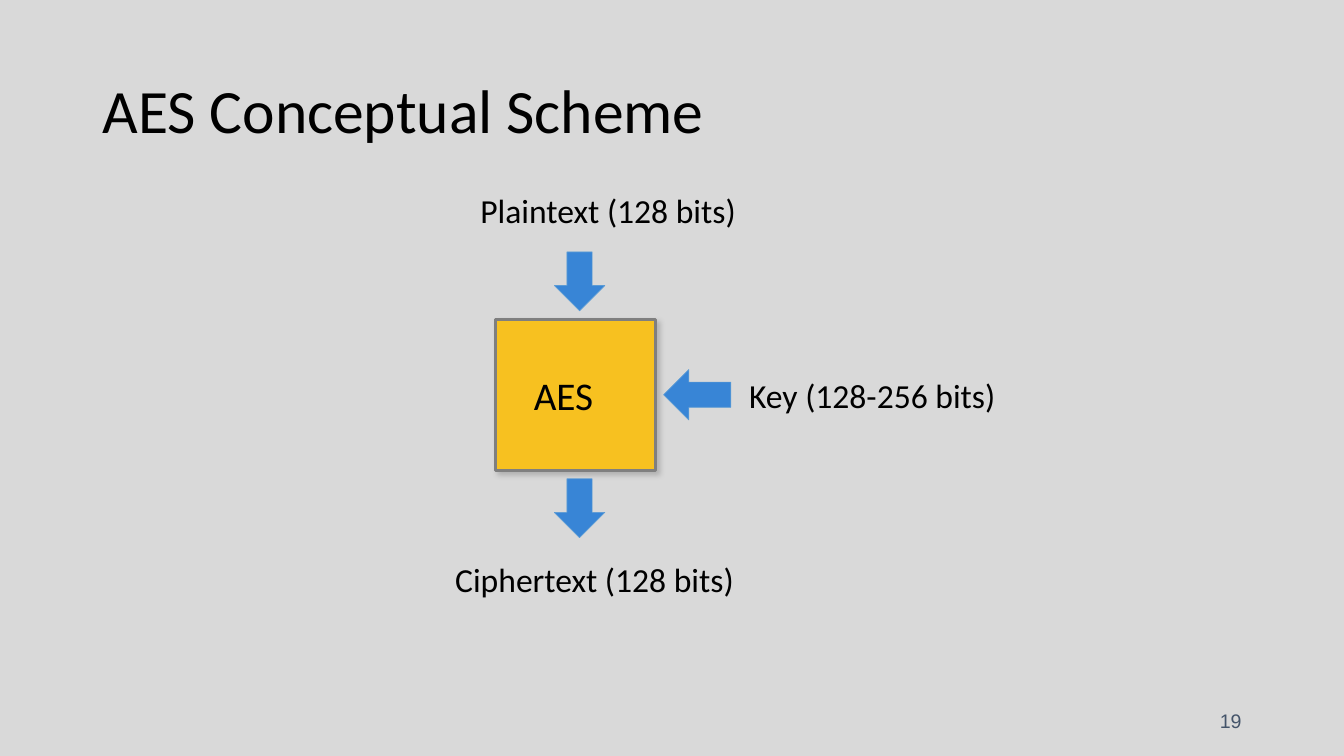
from dataclasses import dataclass

from lxml import etree
from pptx import Presentation
from pptx import util as u
from pptx.dml.color import RGBColor
from pptx.enum import shapes, text
from pptx.oxml import ns

COLS, ROWS = 160, 90
CELL = u.Inches(1) / 12
COLORS = {
    "background": "D9D9D9",
    "ink": "000000",
    "number": "44546A",
    "cipher": "F7C120",
    "cipher_line": "7F7F7F",
    "arrow": "3885D6",
    "arrow_line": "5B9BD5",
    "shadow": "808080",
}


@dataclass(frozen=True)
class Box:
    col: float
    row: float
    cols: float
    rows: float

    def emu(self) -> list[int]:
        return [round(n * CELL) for n in (self.col, self.row, self.cols, self.rows)]


@dataclass(frozen=True)
class Label:
    words: str
    box: Box


@dataclass(frozen=True)
class Arrow:
    kind: shapes.MSO_SHAPE
    box: Box


TITLE = Label("AES Conceptual Scheme", Box(11, 4.8, 138, 17.4))
NUMBER = Label("19", Box(113, 83.4, 36, 4.8))
CIPHER = Label("AES", Box(59, 38, 19, 18))
LABELS = [
    Label("Plaintext (128 bits)", Box(56, 22, 33.4, 6)),
    Label("Ciphertext (128 bits)", Box(53, 66, 38.3, 6)),
    Label("Key (128-256 bits)", Box(88, 44, 32.5, 6)),
]
ARROWS = [
    Arrow(shapes.MSO_SHAPE.DOWN_ARROW, Box(66, 30, 6, 7)),
    Arrow(shapes.MSO_SHAPE.DOWN_ARROW, Box(66, 57, 6, 7)),
    Arrow(shapes.MSO_SHAPE.LEFT_ARROW, Box(79, 44, 8, 6)),
]


def rgb(name: str) -> RGBColor:
    return RGBColor.from_string(COLORS[name])


def write(sp, words: str, size: int, color: str = "ink", font: str = "Calibri",
          align=text.PP_ALIGN.LEFT, anchor=text.MSO_ANCHOR.MIDDLE):
    tf = sp.text_frame
    tf.word_wrap = True
    tf.vertical_anchor = anchor
    p = tf.paragraphs[0]
    p.text = words
    p.alignment = align
    p.font.size = u.Pt(size)
    p.font.name = font
    p.font.color.rgb = rgb(color)
    return p


def add_block(s, kind: shapes.MSO_SHAPE, box: Box, color: str, width: float):
    sp = s.shapes.add_shape(kind, *box.emu())
    sp.shadow.inherit = False
    sp.fill.solid()
    sp.fill.fore_color.rgb = rgb(color)
    sp.line.color.rgb = rgb(f"{color}_line")
    sp.line.width = u.Pt(width)
    return sp


def add_shadow(sp) -> None:
    effects = sp._element.spPr.find(ns.qn("a:effectLst"))
    shadow = etree.SubElement(effects, ns.qn("a:outerShdw"), blurRad=str(u.Pt(4)),
                              dist=str(u.Pt(3)), dir="2700000", algn="tl", rotWithShape="0")
    color = etree.SubElement(shadow, ns.qn("a:srgbClr"), val=COLORS["shadow"])
    etree.SubElement(color, ns.qn("a:alpha"), val="43000")


def add_title(s, label: Label) -> None:
    sp = s.shapes.title
    sp.left, sp.top, sp.width, sp.height = label.box.emu()
    write(sp, label.words, 44).line_spacing = 0.9


def add_cipher(s, label: Label) -> None:
    sp = add_block(s, shapes.MSO_SHAPE.RECTANGLE, label.box, "cipher", 2)
    add_shadow(sp)
    write(sp, label.words, 28)
    sp.text_frame.margin_left = u.Inches(0.38)


def main() -> None:
    prs = Presentation()
    prs.slide_width, prs.slide_height = round(COLS * CELL), round(ROWS * CELL)
    s = prs.slides.add_slide(prs.slide_layouts.get_by_name("Title Only"))
    s.background.fill.solid()
    s.background.fill.fore_color.rgb = rgb("background")

    add_title(s, TITLE)
    number = s.shapes.add_textbox(*NUMBER.box.emu())
    write(number, NUMBER.words, 14, "number", "Arial", text.PP_ALIGN.RIGHT)
    add_cipher(s, CIPHER)
    for label in LABELS:
        sp = s.shapes.add_textbox(*label.box.emu())
        write(sp, label.words, 24, anchor=text.MSO_ANCHOR.TOP)
    for arrow in ARROWS:
        add_block(s, arrow.kind, arrow.box, "arrow", 0.5)

    prs.save("out.pptx")


if __name__ == "__main__":
    main()
